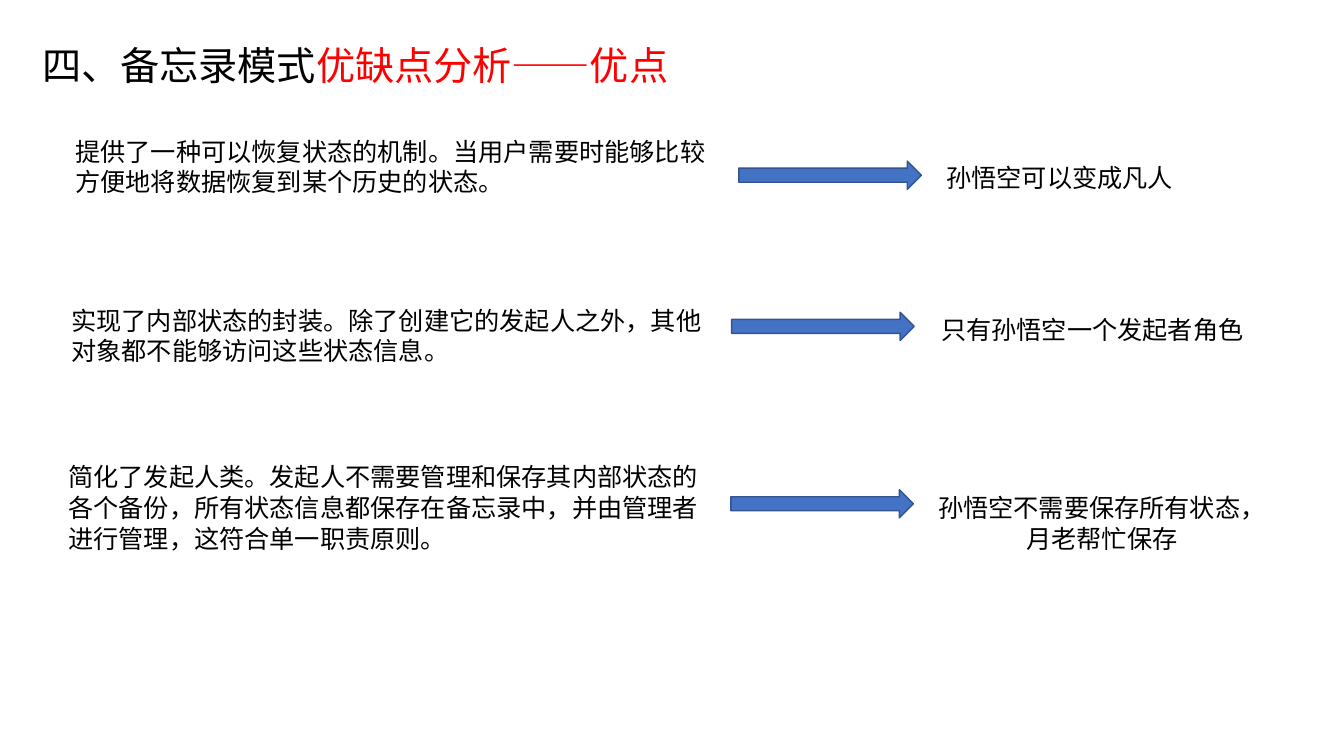
from lxml import etree
from pptx import Presentation
from pptx.dml.color import RGBColor
from pptx.enum import shapes, text
from pptx.oxml import ns
from pptx.util import Cm, Pt

CJK_FONT = "Noto Sans CJK SC"
BLACK, RED, BLUE, DARK_BLUE = "000000", "FF0000", "4472C4", "325491"

TITLE = [("四、备忘录模式", BLACK), ("优缺点分析——优点", RED)]
TITLE_BOX = (0.81, 0.84, 16.46, 1.45)

# Each advantage: text, its (left, top); arrow (left, top); example lines, (left, top), width
ADVANTAGES = [
    ("提供了一种可以恢复状态的机制。当用户需要时能够比较方便地将数据恢复到某个历史的状态。",
     (1.65, 3.23), 2, (18.62, 4.06),
     ["孙悟空可以变成凡人"], (23.6, 3.89), 6.27),
    ("实现了内部状态的封装。除了创建它的发起人之外，其他对象都不能够访问这些状态信息。",
     (1.55, 7.49), 2, (18.44, 7.87),
     ["只有孙悟空一个发起者角色"], (23.47, 7.72), 8.2),
    ("简化了发起人类。发起人不需要管理和保存其内部状态的各个备份，"
     "所有状态信息都保存在备忘录中，并由管理者进行管理，这符合单一职责原则。",
     (1.47, 11.43), 3, (18.42, 12.34),
     ["孙悟空不需要保存所有状态，", "月老帮忙保存"], (23.39, 12.22), 8.84),
]
ADVANTAGE_WIDTH = 16.94
ARROW_SIZE = (4.6, 0.71)
LINE_HEIGHT, BOX_PADDING = 0.77, 0.25


def color(hex_code):
    return RGBColor.from_string(hex_code)


def add_text(slide, box, paragraphs, size=18, leading=22, latin=CJK_FONT, wrap=False):
    """Write paragraphs of (words, colour) runs; those after the first are centred."""
    frame = slide.shapes.add_textbox(*map(Cm, box)).text_frame
    frame.word_wrap = wrap
    frame.auto_size = text.MSO_AUTO_SIZE.SHAPE_TO_FIT_TEXT
    frame.margin_top, frame.margin_bottom = Cm(0.18), Cm(0.08)
    for index, runs in enumerate(paragraphs):
        paragraph = frame.add_paragraph() if index else frame.paragraphs[0]
        paragraph.alignment = text.PP_ALIGN.CENTER if index else text.PP_ALIGN.LEFT
        paragraph.line_spacing = Pt(leading)
        for words, hex_code in runs:
            run = paragraph.add_run()
            run.text = words
            run.font.size = Pt(size)
            run.font.color.rgb = color(hex_code)
            run.font.name = latin
            east_asian = etree.SubElement(run.font._element, ns.qn("a:ea"))
            east_asian.set("typeface", CJK_FONT)


def add_arrow(slide, place):
    arrow = slide.shapes.add_shape(
        shapes.MSO_SHAPE.RIGHT_ARROW, *map(Cm, place + ARROW_SIZE))
    arrow.shadow.inherit = False
    arrow.fill.solid()
    arrow.fill.fore_color.rgb = color(BLUE)
    arrow.line.color.rgb = color(DARK_BLUE)
    arrow.line.width = Pt(1)


def box_height(lines):
    return lines * LINE_HEIGHT + BOX_PADDING


def main():
    deck = Presentation()
    deck.slide_width, deck.slide_height = Cm(33.87), Cm(19.05)
    slide = deck.slides.add_slide(deck.slide_layouts[6])
    add_text(slide, TITLE_BOX, [TITLE], size=28, leading=34, latin="Lato")
    for advantage, place, lines, arrow_place, example, example_place, width in ADVANTAGES:
        add_text(slide, place + (ADVANTAGE_WIDTH, box_height(lines)),
                 [[(advantage, BLACK)]], wrap=True)
        add_arrow(slide, arrow_place)
        add_text(slide, example_place + (width, box_height(len(example))),
                 [[(line, BLACK)] for line in example])
    deck.save("out.pptx")


if __name__ == "__main__":
    main()
